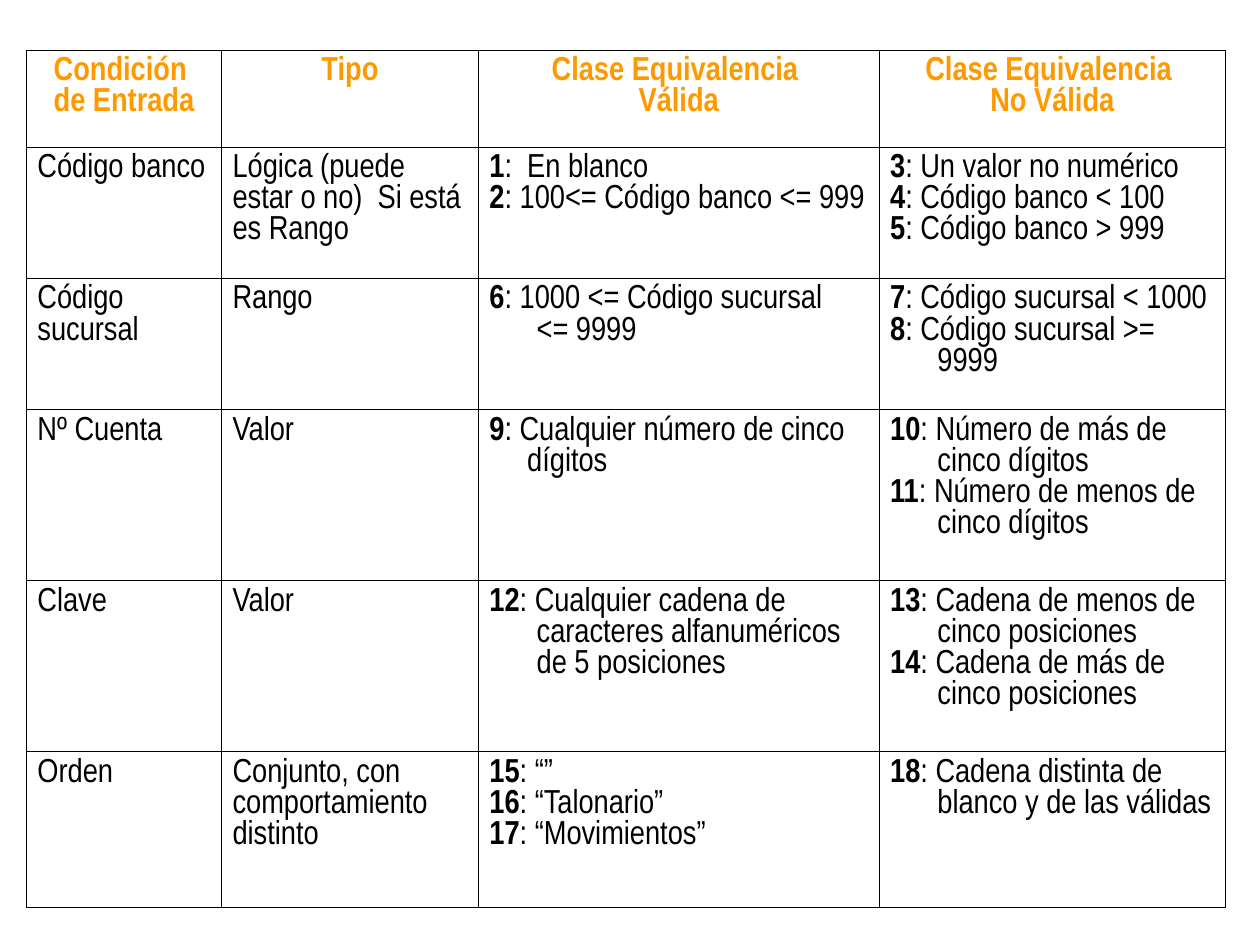
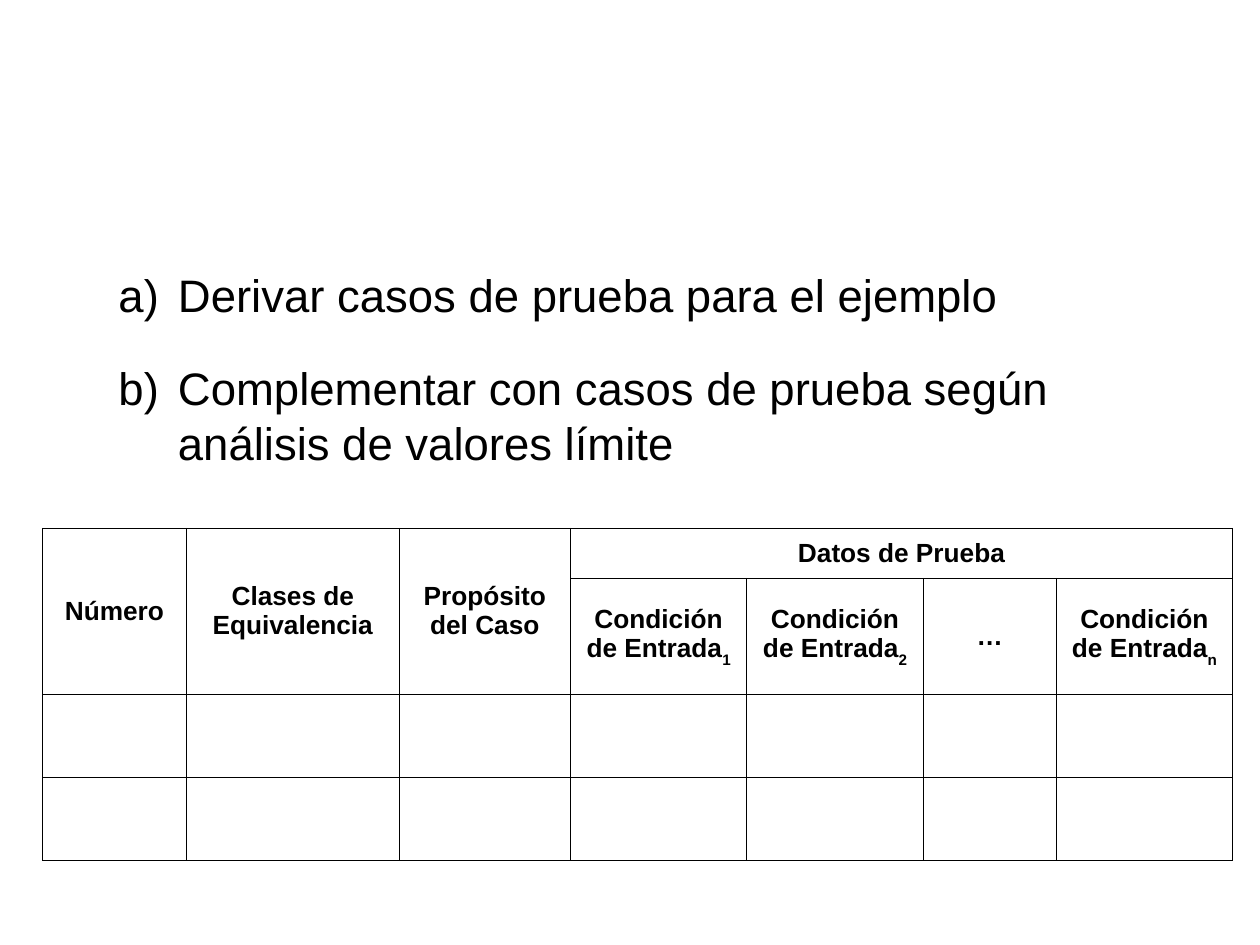
import pptx
import pptx.util
import pptx.dml.color
import pptx.enum.text
import pptx.oxml.ns
import lxml.etree

Pt = pptx.util.Pt
RGBColor = pptx.dml.color.RGBColor
PP_ALIGN = pptx.enum.text.PP_ALIGN
MSO_ANCHOR = pptx.enum.text.MSO_ANCHOR
qn = pptx.oxml.ns.qn

BLACK = RGBColor(0x00, 0x00, 0x00)
ORANGE = RGBColor(0xFF, 0x99, 0x00)

HANG = 27
CLASS_HEADERS = [
    ["Condición ", "de Entrada"],
    ["Tipo"],
    ["Clase Equivalencia ", "Válida"],
    ["Clase Equivalencia ", "No Válida"],
]
CLASS_ROWS = [
    ("Código banco", "Lógica (puede estar o no)  Si está es Rango",
     ["1:  En blanco", "2: 100<= Código banco <= 999"],
     ["3: Un valor no numérico", "4: Código banco < 100", "5: Código banco > 999"]),
    ("Código sucursal", "Rango",
     ["6: 1000 <= Código sucursal  <= 9999"],
     ["7: Código sucursal < 1000", "8: Código sucursal >= 9999"]),
    ("Nº Cuenta", "Valor",
     ["9: Cualquier número de cinco dígitos"],
     ["10: Número de más de cinco dígitos", "11: Número de menos de cinco dígitos"]),
    ("Clave", "Valor",
     ["12: Cualquier cadena de caracteres alfanuméricos de 5 posiciones"],
     ["13: Cadena de menos de cinco posiciones",
      "14: Cadena de más de cinco posiciones"]),
    ("Orden", "Conjunto, con comportamiento distinto",
     ["15: “”", "16: “Talonario”", "17: “Movimientos”"],
     ["18: Cadena distinta de blanco y de las válidas"]),
]
CASE_HEADERS = ["Número", "Clases de Equivalencia", "Propósito del Caso"]
INPUT_HEADERS = [("Condición de Entrada", "1"), ("Condición de Entrada", "2"),
                 ("…", ""), ("Condición de Entrada", "n")]


class Deck:
    def __init__(self):
        self.prs = pptx.Presentation()
        self.prs.slide_width = Pt(720)
        self.prs.slide_height = Pt(540)
        self.style("Arial", 15)

    def style(self, font, size):
        self.font, self.size = font, size

    def slide(self):
        self.s = self.prs.slides.add_slide(self.prs.slide_layouts[6])

    def run(self, p, text, color=BLACK, bold=False, subscript=False):
        r = p.add_run()
        r.text = text
        r.font.name = self.font
        r.font.size = Pt(self.size)
        r.font.bold = bold
        r.font.color.rgb = color
        if subscript:
            r.font._element.set("baseline", "-30000")

    def paragraph(self, tf, first, align=PP_ALIGN.LEFT, hang=0):
        p = tf.paragraphs[0] if first else tf.add_paragraph()
        p.alignment = align
        p.line_spacing = 1.0
        pPr = p._p.get_or_add_pPr()
        pPr.set("marL", str(Pt(hang)))
        pPr.set("indent", str(Pt(-hang)))
        return p

    def table(self, left, top, widths, heights):
        tbl = self.s.shapes.add_table(len(heights), len(widths), Pt(left), Pt(top),
                                      Pt(sum(widths)), Pt(sum(heights))).table
        tbl.first_row = tbl.horz_banding = False
        for column, width in zip(tbl.columns, widths):
            column.width = Pt(width)
        for row, height in zip(tbl.rows, heights):
            row.height = Pt(height)
            for cell in row.cells:
                self.frame_cell(cell)
        return tbl

    def frame_cell(self, cell):
        cell.margin_left = cell.margin_right = Pt(6.3)
        cell.margin_top = cell.margin_bottom = Pt(3.6)
        tcPr = cell._tc.get_or_add_tcPr()
        for side in ("a:lnL", "a:lnR", "a:lnT", "a:lnB"):
            ln = lxml.etree.SubElement(tcPr, qn(side), w=str(Pt(0.45)))
            fill = lxml.etree.SubElement(ln, qn("a:solidFill"))
            lxml.etree.SubElement(fill, qn("a:srgbClr"), val=str(BLACK))
        cell.fill.background()

    def header(self, cell, lines, color=BLACK, subscript=""):
        for i, line in enumerate(lines):
            p = self.paragraph(cell.text_frame, i == 0, PP_ALIGN.CENTER)
            self.run(p, line, color, bold=True)
        if subscript:
            self.run(p, subscript, color, bold=True, subscript=True)

    def classes(self, cell, lines, hang):
        for i, line in enumerate(lines):
            p = self.paragraph(cell.text_frame, i == 0, hang=hang)
            number, colon, rest = line.partition(":")
            self.run(p, number, bold=True)
            self.run(p, colon + rest)

    def lettered_list(self, left, top, width, height, items, hang):
        tf = self.s.shapes.add_textbox(Pt(left), Pt(top), Pt(width), Pt(height)).text_frame
        tf.word_wrap = True
        for i, (text, before) in enumerate(items):
            p = self.paragraph(tf, i == 0, hang=hang)
            p.space_before = Pt(before)
            pPr = p._p.get_or_add_pPr()
            color = lxml.etree.SubElement(pPr, qn("a:buClr"))
            lxml.etree.SubElement(color, qn("a:srgbClr"), val=str(BLACK))
            lxml.etree.SubElement(pPr, qn("a:buFont"), typeface=self.font)
            lxml.etree.SubElement(pPr, qn("a:buAutoNum"), type="alphaLcParenR")
            self.run(p, text)


def equivalence_classes(deck):
    deck.slide()
    deck.style("Arial Narrow", 19)
    tbl = deck.table(15.1, 28.8, [111.5, 146.8, 229, 198],
                     [55.4, 75, 75, 97.7, 97.7, 89.2])
    for col, lines in enumerate(CLASS_HEADERS):
        deck.header(tbl.cell(0, col), lines, ORANGE)
    for row, (condition, kind, valid, invalid) in enumerate(CLASS_ROWS, 1):
        for col, text in enumerate((condition, kind)):
            deck.run(deck.paragraph(tbl.cell(row, col).text_frame, True), text)
        deck.classes(tbl.cell(row, 2), valid, 21.6 if condition == "Nº Cuenta" else HANG)
        deck.classes(tbl.cell(row, 3), invalid, HANG)


def test_cases(deck):
    deck.slide()
    deck.style("Arial", 26)
    deck.lettered_list(60.6, 149, 625, 152, [
        ("Derivar casos de prueba para el ejemplo", 6.5),
        ("Complementar con casos de prueba según análisis de valores límite", 22.3),
    ], 34)
    deck.style("Arial", 15)
    tbl = deck.table(24.3, 301.9, [82.2, 121.7, 97.8, 100.8, 100.8, 76, 100.8],
                     [28.6, 66.2, 47.4, 47.4])
    for col, text in enumerate(CASE_HEADERS):
        tbl.cell(0, col).merge(tbl.cell(1, col))
        deck.header(tbl.cell(0, col), [text])
    tbl.cell(0, 3).merge(tbl.cell(0, 6))
    deck.header(tbl.cell(0, 3), ["Datos de Prueba"])
    for col, (text, index) in enumerate(INPUT_HEADERS, 3):
        deck.header(tbl.cell(1, col), [text], subscript=index)
    for cell in tbl.iter_cells():
        cell.vertical_anchor = MSO_ANCHOR.MIDDLE


def main():
    deck = Deck()
    equivalence_classes(deck)
    test_cases(deck)
    deck.prs.save("out.pptx")


if __name__ == "__main__":
    main()
